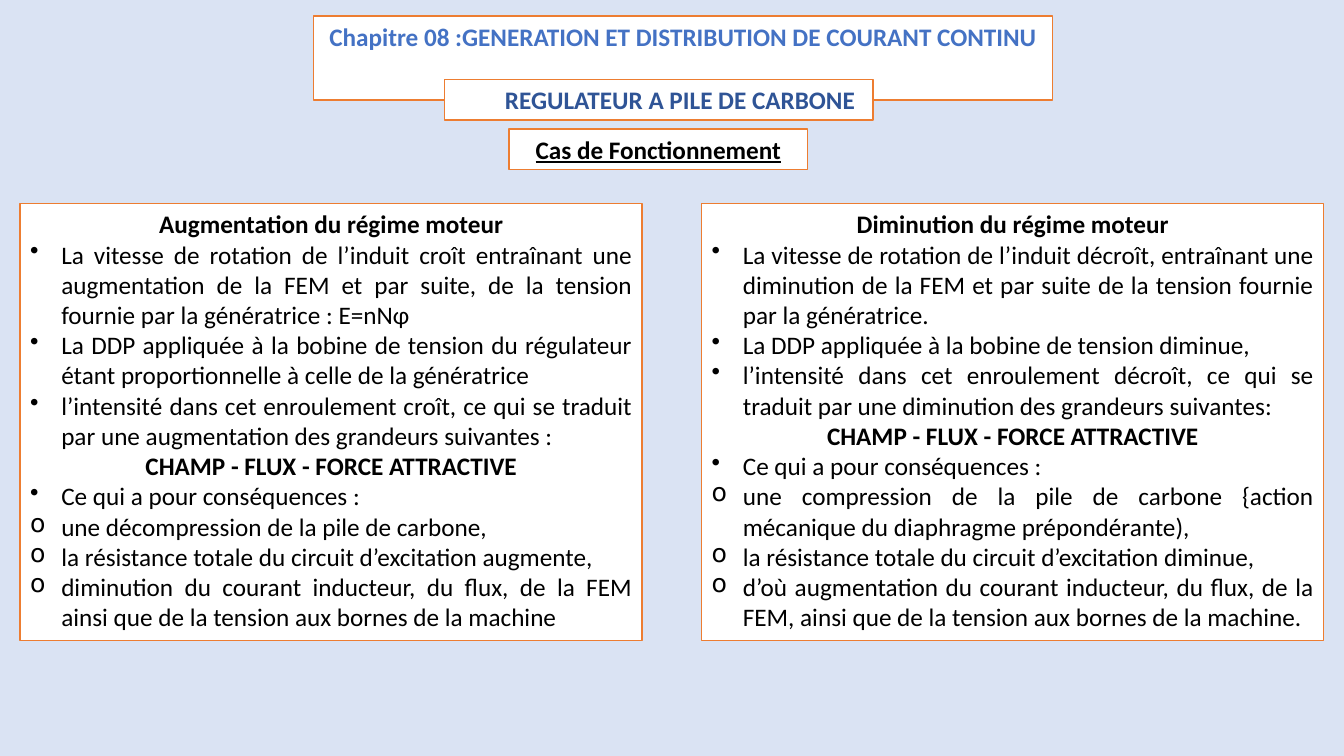
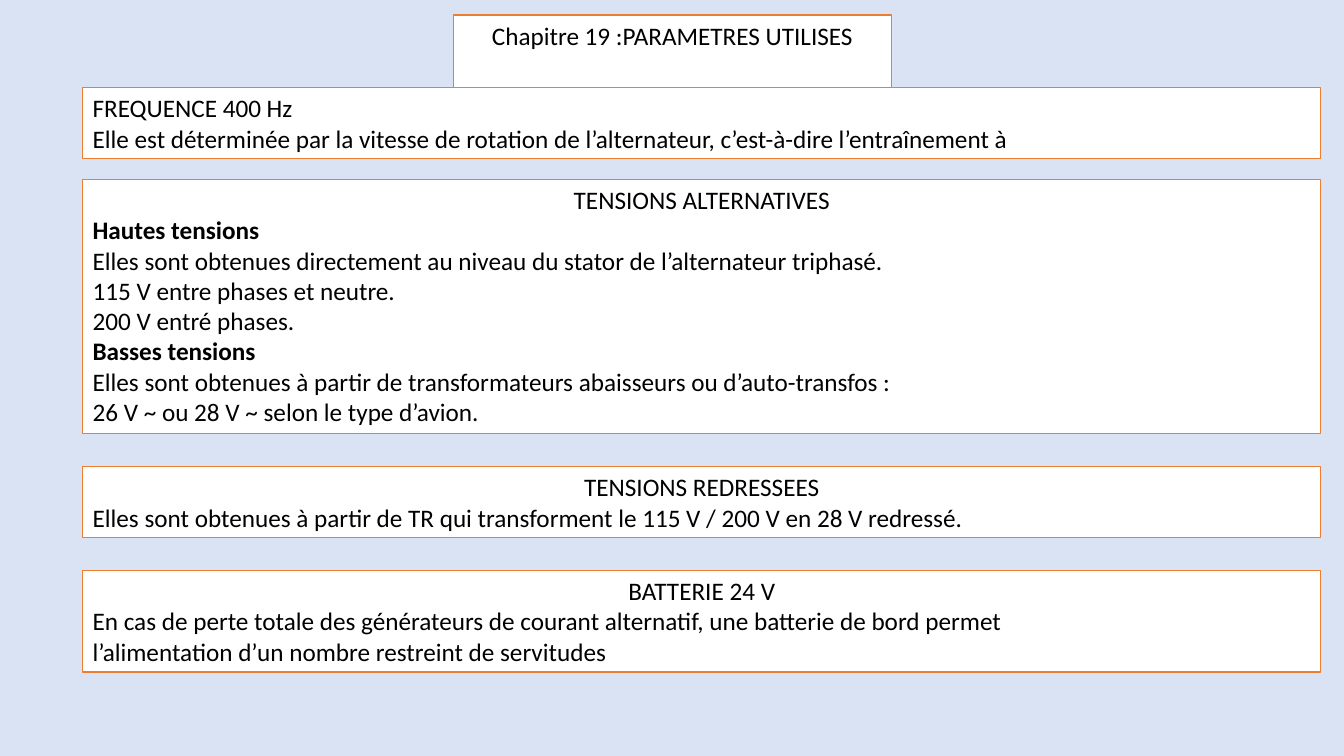
"""Build two slides on direct current generation and aircraft supply parameters."""
from lxml import etree
from pptx import Presentation
from pptx.dml.color import RGBColor
from pptx.enum import text
from pptx.oxml import ns
from pptx.util import Inches, Pt

COLORS = {
    "background": "DAE3F3",
    "box": "FFFFFF",
    "border": "ED7D31",
    "body": "000000",
    "chapter": "4472C4",
    "topic": "2F5496",
}
FONT = "Calibri"
TEXT_SIZE = 18
LINE_HEIGHT = 0.3025
BOX_PADDING = 0.1
BULLET_INDENT = 0.31
SLIDE_WIDTH = 13.33
PANEL_WIDTH, PANEL_MARGIN, PANEL_LINES = 6.17, 0.2, 14
BULLETS = {"dot": "•", "circle": "o"}

SPEED_INCREASE = [
    ("heading", "Augmentation du régime moteur"),
    ("dot", "La vitesse de rotation de l’induit croît entraînant une augmentation de la FEM "
            "et par suite, de la tension fournie par la génératrice : E=nNφ"),
    ("dot", "La DDP appliquée à la bobine de tension du régulateur étant proportionnelle "
            "à celle de la génératrice"),
    ("dot", "l’intensité dans cet enroulement croît, ce qui se traduit par une augmentation "
            "des grandeurs suivantes :"),
    ("heading", "CHAMP - FLUX - FORCE ATTRACTIVE"),
    ("dot", "Ce qui a pour conséquences :"),
    ("circle", "une décompression de la pile de carbone,"),
    ("circle", "la résistance totale du circuit d’excitation augmente,"),
    ("circle", "diminution du courant inducteur, du flux, de la FEM ainsi que de la tension "
               "aux bornes de la machine"),
]
SPEED_DECREASE = [
    ("heading", "Diminution du régime moteur"),
    ("dot", "La vitesse de rotation de l’induit décroît, entraînant une diminution de la FEM "
            "et par suite de la tension fournie par la génératrice."),
    ("dot", "La DDP appliquée à la bobine de tension diminue,"),
    ("dot", "l’intensité dans cet enroulement décroît, ce qui se traduit par une diminution "
            "des grandeurs suivantes:"),
    ("heading", "CHAMP - FLUX - FORCE ATTRACTIVE"),
    ("dot", "Ce qui a pour conséquences :"),
    ("circle", "une compression de la pile de carbone {action mécanique du diaphragme "
               "prépondérante),"),
    ("circle", "la résistance totale du circuit d’excitation diminue,"),
    ("circle", "d’où augmentation du courant inducteur, du flux, de la FEM, ainsi que de la "
               "tension aux bornes de la machine."),
]
SUPPLY_PARAMETERS = [
    (0.87, [
        ("plain", "FREQUENCE 400 Hz"),
        ("plain", "Elle est déterminée par la vitesse de rotation de l’alternateur, "
                  "c’est-à-dire l’entraînement à"),
    ]),
    (1.78, [
        ("center", "TENSIONS ALTERNATIVES"),
        ("bold", "Hautes tensions"),
        ("plain", "Elles sont obtenues directement au niveau du stator de l’alternateur triphasé."),
        ("plain", "115 V entre phases et neutre."),
        ("plain", "200 V entré phases."),
        ("bold", "Basses tensions"),
        ("plain", "Elles sont obtenues à partir de transformateurs abaisseurs ou d’auto-transfos :"),
        ("plain", "26 V ~ ou 28 V ~ selon le type d’avion."),
    ]),
    (4.63, [
        ("center", "TENSIONS REDRESSEES"),
        ("plain", "Elles sont obtenues à partir de TR qui transforment le 115 V / 200 V "
                  "en 28 V redressé."),
    ]),
    (5.66, [
        ("center", "BATTERIE 24 V"),
        ("plain", "En cas de perte totale des générateurs de courant alternatif, "
                  "une batterie de bord permet"),
        ("plain", "l’alimentation d’un nombre restreint de servitudes"),
    ]),
]


def rgb(name):
    """Return the named colour."""
    return RGBColor.from_string(COLORS[name])


def indent(paragraph, left, first=0.0):
    """Set the left margin and first-line offset of a paragraph."""
    properties = paragraph._p.get_or_add_pPr()
    properties.set("marL", str(Inches(left)))
    properties.set("indent", str(Inches(first)))
    return properties


def write_paragraph(paragraph, kind, wording, color):
    """Write one paragraph in the style of its kind."""
    if kind in BULLETS:
        properties = indent(paragraph, BULLET_INDENT, -BULLET_INDENT)
        etree.SubElement(properties, ns.qn("a:buChar")).set("char", BULLETS[kind])
        paragraph.alignment = text.PP_ALIGN.JUSTIFY
    elif kind == "indented":
        indent(paragraph, 0.5)
        paragraph.alignment = text.PP_ALIGN.LEFT
    else:
        centred = kind in ("center", "heading", "underlined")
        paragraph.alignment = text.PP_ALIGN.CENTER if centred else text.PP_ALIGN.LEFT
    paragraph.text = wording
    font = paragraph.runs[0].font
    font.name, font.size = FONT, Pt(TEXT_SIZE)
    font.bold = kind in ("heading", "bold", "indented", "underlined")
    font.underline = kind == "underlined"
    font.color.rgb = rgb(color)


def fill_box(shape, left, top, width, rows, lines=None, color="body"):
    """Place a bordered white box and write its rows of text."""
    height = BOX_PADDING + LINE_HEIGHT * (lines or len(rows))
    shape.left, shape.top = Inches(left), Inches(top)
    shape.width, shape.height = Inches(width), Inches(height)
    shape.fill.solid()
    shape.fill.fore_color.rgb = rgb("box")
    shape.line.color.rgb = rgb("border")
    shape.line.width = Pt(1)
    frame = shape.text_frame
    frame.word_wrap = True
    frame.auto_size = text.MSO_AUTO_SIZE.SHAPE_TO_FIT_TEXT
    frame.vertical_anchor = text.MSO_ANCHOR.TOP
    for index, (kind, wording) in enumerate(rows):
        paragraph = frame.add_paragraph() if index else frame.paragraphs[0]
        write_paragraph(paragraph, kind, wording, color)


def add_box(slide, *place, **options):
    """Add a text box with the shared border and fill."""
    fill_box(slide.shapes.add_textbox(0, 0, 0, 0), *place, **options)


def add_slide(presentation, *title_place, **options):
    """Add a slide with the shared background and a boxed title."""
    slide = presentation.slides.add_slide(presentation.slide_layouts[5])
    slide.background.fill.solid()
    slide.background.fill.fore_color.rgb = rgb("background")
    fill_box(slide.shapes.title, *title_place, **options)
    return slide


def add_regulator_slide(presentation):
    """Compare the two operating cases of the carbon pile regulator."""
    title = "Chapitre 08 :GENERATION ET DISTRIBUTION DE COURANT CONTINU"
    slide = add_slide(presentation, 3.11, 0.16, 7.33, [("heading", title)], color="chapter")
    add_box(slide, 4.41, 0.79, 4.25, [("indented", "REGULATEUR A PILE DE CARBONE")], color="topic")
    add_box(slide, 5.05, 1.28, 2.96, [("underlined", "Cas de Fonctionnement")])
    right = SLIDE_WIDTH - PANEL_MARGIN - PANEL_WIDTH
    for left, rows in ((PANEL_MARGIN, SPEED_INCREASE), (right, SPEED_DECREASE)):
        add_box(slide, left, 2.02, PANEL_WIDTH, rows, lines=PANEL_LINES)


def add_parameters_slide(presentation):
    """List the frequency and voltages in use."""
    title = "Chapitre 19 :PARAMETRES UTILISES"
    slide = add_slide(presentation, 4.5, 0.15, 4.34, [("center", title)])
    for top, rows in SUPPLY_PARAMETERS:
        add_box(slide, 0.82, top, 12.28, rows)


def main():
    """Build and save the presentation."""
    presentation = Presentation()
    presentation.slide_width = Inches(SLIDE_WIDTH)
    presentation.slide_height = Inches(7.5)
    add_regulator_slide(presentation)
    add_parameters_slide(presentation)
    presentation.save("out.pptx")


if __name__ == "__main__":
    main()
